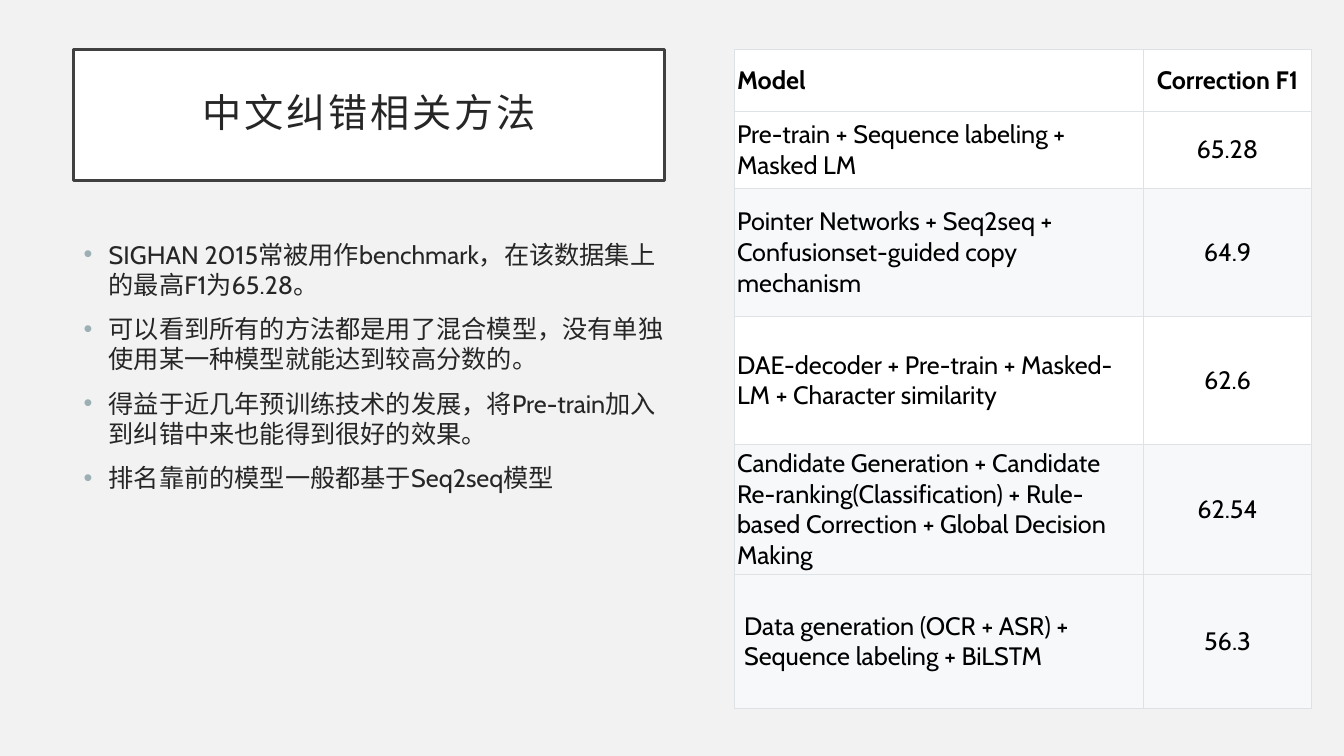
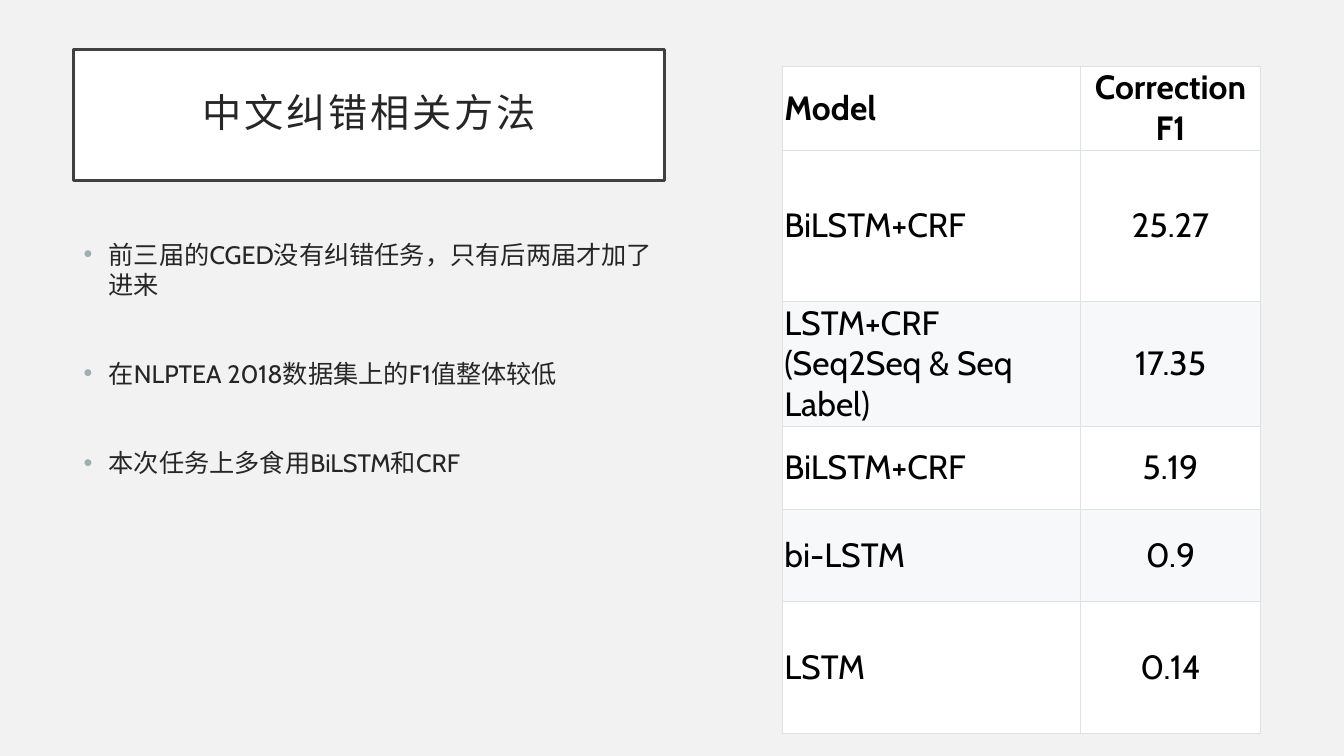
from dataclasses import dataclass

from lxml import etree
from pptx import Presentation
from pptx import util as u
from pptx.dml.color import RGBColor
from pptx.enum import shapes, text
from pptx.oxml.ns import qn
from pptx.slide import Slide
from pptx.table import _Cell


@dataclass(frozen=True)
class Theme:
    font: str = "Cabin"
    background: str = "F2F2F2"
    white: str = "FFFFFF"
    shade: str = "F6F8FA"
    frame: str = "404040"
    ink: str = "262626"
    table_ink: str = "000000"
    bullet: str = "9BAFB5"
    grid: str = "DFE2E5"
    title_size: int = 28
    body_size: int = 18


@dataclass(frozen=True)
class Row:
    model: str
    score: str
    height: float
    shaded: bool = False
    bold: bool = False
    inset: tuple[float, float] | None = None


@dataclass(frozen=True)
class ScoreTable:
    left: float
    top: float
    widths: tuple[float, float]
    size: int
    inset: tuple[float, float]
    rows: list[Row]


@dataclass(frozen=True)
class Page:
    title: str
    bullets: list[str]
    bullet_gap: float
    table: ScoreTable


T = Theme()
TITLE = "中文纠错相关方法"

PAGES = [
    Page(
        TITLE,
        [
            "SIGHAN 2015常被用作benchmark，在该数据集上的最高F1为65.28。",
            "可以看到所有的方法都是用了混合模型，没有单独使用某一种模型就能达到较高分数的。",
            "得益于近几年预训练技术的发展，将Pre-train加入到纠错中来也能得到很好的效果。",
            "排名靠前的模型一般都基于Seq2seq模型",
        ],
        10,
        ScoreTable(7.28, 0.49, (4.06, 1.67), 18, (0.03, 0.02), [
            Row("Model", "Correction F1", 0.61, bold=True),
            Row("Pre-train + Sequence labeling + Masked LM", "65.28", 0.77),
            Row("Pointer Networks + Seq2seq + Confusionset-guided copy mechanism",
                "64.9", 1.27, shaded=True),
            Row("DAE-decoder + Pre-train + Masked-LM + Character similarity",
                "62.6", 1.27),
            Row("Candidate Generation + Candidate Re-ranking(Classification) + "
                "Rule-based Correction + Global Decision Making",
                "62.54", 1.29, shaded=True),
            Row("Data generation (OCR + ASR) + Sequence labeling + BiLSTM",
                "56.3", 1.33, shaded=True, inset=(0.1, 0.05)),
        ]),
    ),
    Page(
        TITLE,
        [
            "前三届的CGED没有纠错任务，只有后两届才加了进来",
            "在NLPTEA 2018数据集上的F1值整体较低",
            "本次任务上多食用BiLSTM和CRF",
        ],
        42,
        ScoreTable(7.76, 0.66, (2.96, 1.78), 24, (0.02, 0.01), [
            Row("Model", "Correction F1", 0.83, bold=True),
            Row("BiLSTM+CRF", "25.27", 1.5),
            Row("LSTM+CRF (Seq2Seq & Seq Label)", "17.35", 1.24, shaded=True),
            Row("BiLSTM+CRF", "5.19", 0.82),
            Row("bi-LSTM", "0.9", 0.92, shaded=True),
            Row("LSTM", "0.14", 1.31),
        ]),
    ),
]


def rgb(color: str) -> RGBColor:
    return RGBColor.from_string(color)


def style(p, size: int, color: str, bold: bool = False) -> None:
    p.font.name = T.font
    p.font.size = u.Pt(size)
    p.font.bold = bold
    p.font.color.rgb = rgb(color)


def add_title(s: Slide, title: str) -> None:
    sp = s.shapes.add_shape(shapes.MSO_SHAPE.RECTANGLE, u.Inches(0.73),
                            u.Inches(0.49), u.Inches(5.86), u.Inches(1.3))
    sp.shadow.inherit = False
    sp.fill.solid()
    sp.fill.fore_color.rgb = rgb(T.white)
    sp.line.color.rgb = rgb(T.frame)
    sp.line.width = u.Pt(2.5)
    tf = sp.text_frame
    tf.word_wrap = True
    tf.vertical_anchor = text.MSO_ANCHOR.MIDDLE
    tf.margin_left = tf.margin_right = u.Inches(0.2)
    tf.margin_top = tf.margin_bottom = u.Inches(0.2)
    p = tf.paragraphs[0]
    p.alignment = text.PP_ALIGN.CENTER
    p.line_spacing = 0.9
    style(p, T.title_size, T.ink)
    r = p.add_run()
    r.text = title
    r.font._element.set("spc", "200")


def set_bullet(p) -> None:
    pPr = p._p.get_or_add_pPr()
    indent = u.Inches(0.25)
    pPr.set("marL", str(indent))
    pPr.set("indent", str(-indent))
    color = etree.Element(qn("a:buClr"))
    etree.SubElement(color, qn("a:srgbClr"), val=T.bullet)
    font = etree.Element(qn("a:buFont"), typeface="Arial")
    char = etree.Element(qn("a:buChar"), char="•")
    # Bullet settings must come before the default run properties.
    for item in (color, font, char):
        pPr.find(qn("a:defRPr")).addprevious(item)


def add_bullets(s: Slide, bullets: list[str], gap: float) -> None:
    tf = s.shapes.add_textbox(u.Inches(0.73), u.Inches(2.32),
                              u.Inches(5.98), u.Inches(3.39)).text_frame
    tf.word_wrap = True
    for i, bullet in enumerate(bullets):
        p = tf.add_paragraph() if i else tf.paragraphs[0]
        p.text = bullet
        p.space_before = u.Pt(gap if i else 10)
        style(p, T.body_size, T.ink)
        set_bullet(p)


def set_borders(cell: _Cell) -> None:
    tcPr = cell._tc.get_or_add_tcPr()
    for side in ("lnL", "lnR", "lnT", "lnB"):
        ln = etree.SubElement(tcPr, qn(f"a:{side}"), w=str(u.Pt(0.6)))
        fill = etree.SubElement(ln, qn("a:solidFill"))
        etree.SubElement(fill, qn("a:srgbClr"), val=T.grid)


def fill_cell(cell: _Cell, content: str, align: text.PP_ALIGN, row: Row,
              table: ScoreTable) -> None:
    set_borders(cell)
    cell.fill.solid()
    cell.fill.fore_color.rgb = rgb(T.shade if row.shaded else T.white)
    cell.vertical_anchor = text.MSO_ANCHOR.MIDDLE
    side, end = row.inset or table.inset
    cell.margin_left = cell.margin_right = u.Inches(side)
    cell.margin_top = cell.margin_bottom = u.Inches(end)
    p = cell.text_frame.paragraphs[0]
    p.text = content
    p.alignment = align
    style(p, table.size, T.table_ink, row.bold)


def add_score_table(s: Slide, table: ScoreTable) -> None:
    height = sum(row.height for row in table.rows)
    tbl = s.shapes.add_table(
        len(table.rows), len(table.widths), u.Inches(table.left),
        u.Inches(table.top), u.Inches(sum(table.widths)),
        u.Inches(height)).table
    tbl.first_row = tbl.horz_banding = False
    for column, width in zip(tbl.columns, table.widths):
        column.width = u.Inches(width)
    for i, row in enumerate(table.rows):
        tbl.rows[i].height = u.Inches(row.height)
        fill_cell(tbl.cell(i, 0), row.model, text.PP_ALIGN.LEFT, row, table)
        fill_cell(tbl.cell(i, 1), row.score, text.PP_ALIGN.CENTER, row, table)


def main() -> None:
    prs = Presentation()
    prs.slide_width, prs.slide_height = u.Inches(13.33), u.Inches(7.5)
    for page in PAGES:
        s = prs.slides.add_slide(prs.slide_layouts[6])
        s.background.fill.solid()
        s.background.fill.fore_color.rgb = rgb(T.background)
        add_title(s, page.title)
        add_bullets(s, page.bullets, page.bullet_gap)
        add_score_table(s, page.table)
    prs.save("out.pptx")


if __name__ == "__main__":
    main()
